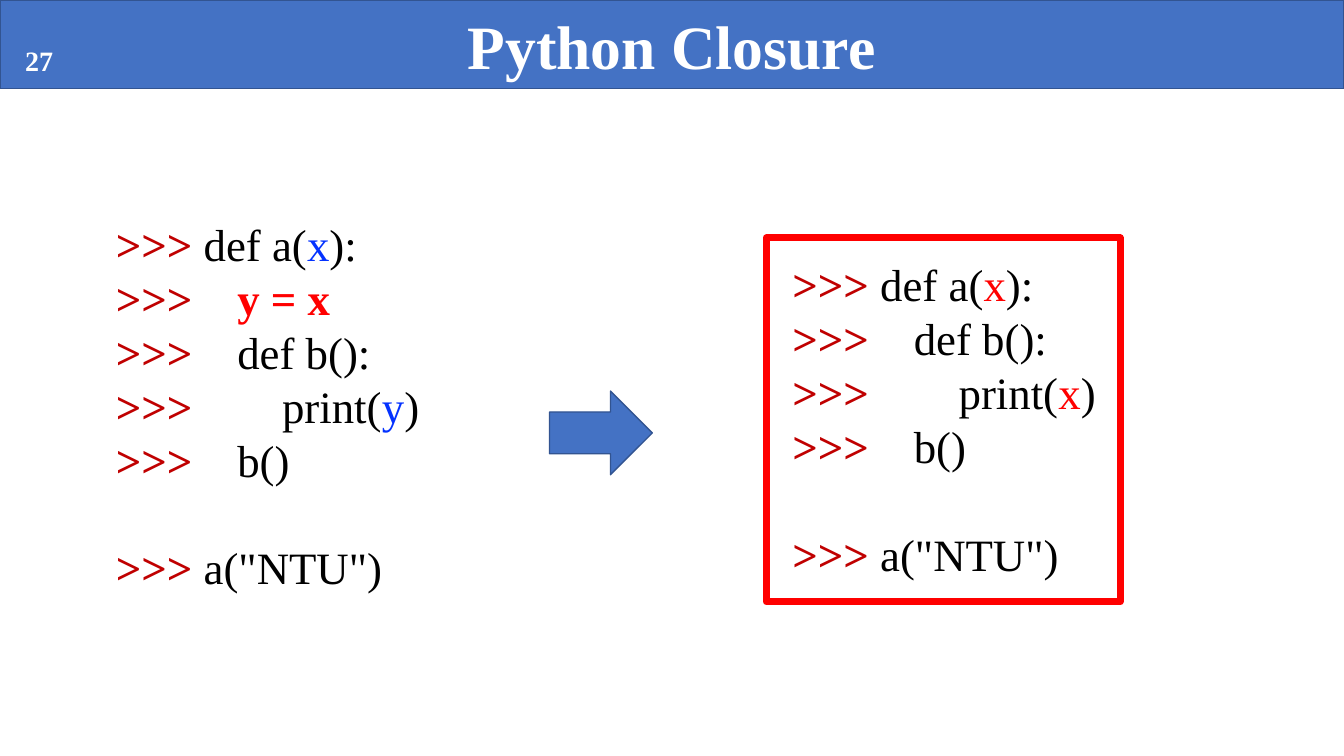
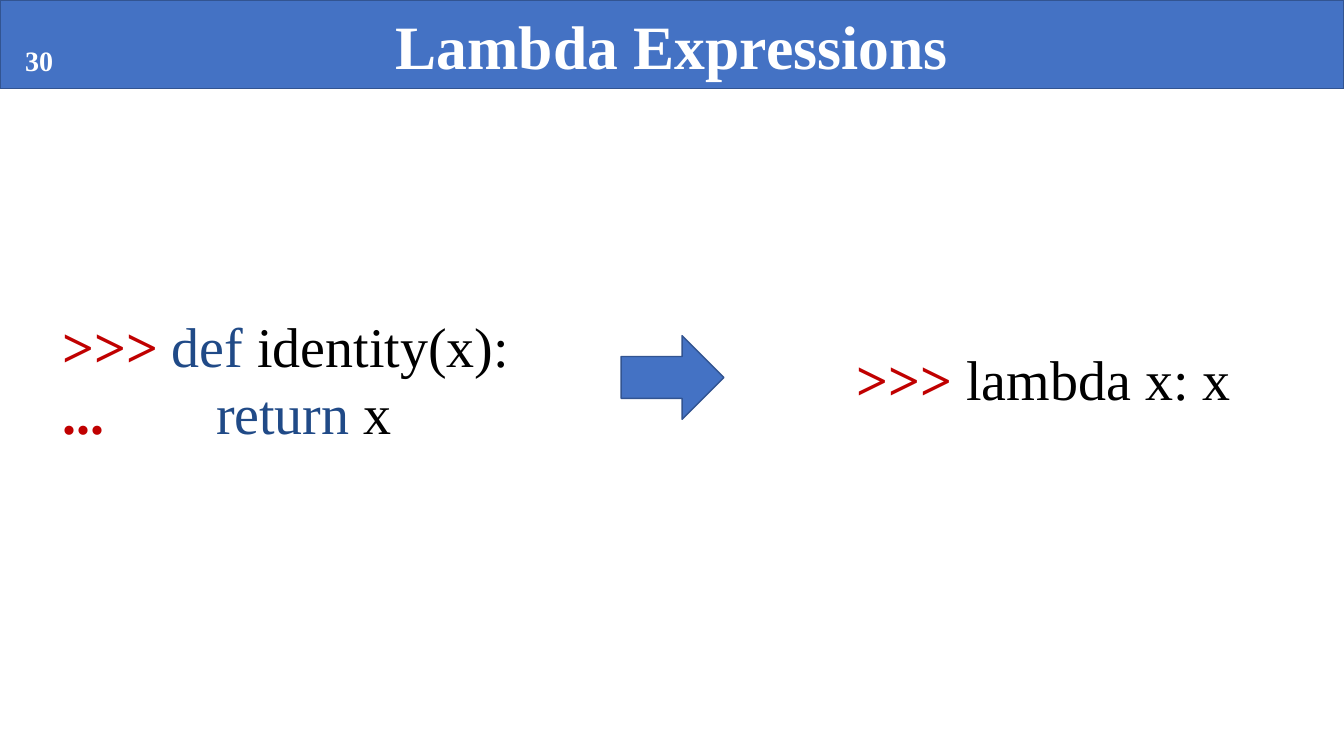
from pptx import Presentation
from pptx.dml.color import RGBColor
from pptx.enum.shapes import MSO_SHAPE
from pptx.enum.text import MSO_ANCHOR, PP_ALIGN
from pptx.util import Emu, Pt

PX = 9144
SLIDE_WIDTH, SLIDE_HEIGHT = 1333, 750
BAND_HEIGHT = 88
ARROW_WIDTH, ARROW_HEIGHT = 102, 83
FONT = "Times New Roman"

WHITE = RGBColor(0xFF, 0xFF, 0xFF)
BLACK = RGBColor(0x00, 0x00, 0x00)
BAND_BLUE = RGBColor(0x44, 0x72, 0xC4)
OUTLINE_BLUE = RGBColor(0x32, 0x54, 0x91)
PROMPT_RED = RGBColor(0xC0, 0x00, 0x00)
RED = RGBColor(0xFF, 0x00, 0x00)
BLUE = RGBColor(0x04, 0x32, 0xFF)
KEYWORD_BLUE = RGBColor(0x20, 0x4A, 0x87)


def px(*lengths):
    return [Emu(length * PX) for length in lengths]


def prompt(text=">>>"):
    return (text, PROMPT_RED, True)


def plain(text, color=BLACK):
    return (text, color, False)


def style(paragraph, size, color=None, bold=None):
    font = paragraph.font
    font.name = FONT
    font.size = Pt(size)
    if color is not None:
        font.color.rgb = color
    font.bold = bold


def add_shape(page, kind, area, fill=BAND_BLUE, line=OUTLINE_BLUE, line_width=1):
    shape = page.shapes.add_shape(kind, *px(*area))
    shape.shadow.inherit = False
    if fill is None:
        shape.fill.background()
    else:
        shape.fill.solid()
        shape.fill.fore_color.rgb = fill
    shape.line.color.rgb = line
    shape.line.width = Pt(line_width)
    return shape


def add_text_box(page, area):
    frame = page.shapes.add_textbox(*px(*area)).text_frame
    frame.word_wrap = True
    return frame


def add_page(deck, title, number):
    page = deck.slides.add_slide(deck.slide_layouts[6])
    band = add_shape(page, MSO_SHAPE.RECTANGLE, (0, 0, SLIDE_WIDTH, BAND_HEIGHT))
    band.text_frame.vertical_anchor = MSO_ANCHOR.MIDDLE
    para = band.text_frame.paragraphs[0]
    para.text = title
    para.alignment = PP_ALIGN.CENTER
    style(para, 44, WHITE, True)
    para = add_text_box(page, (15, 38, 60, 44)).paragraphs[0]
    para.text = number
    style(para, 20, WHITE, True)
    return page


def add_code(page, area, size, pitch, blocks):
    frame = add_text_box(page, area)
    para = frame.paragraphs[0]
    for block_index, block in enumerate(blocks):
        for line_index, line in enumerate(block):
            if block_index or line_index:
                para = frame.add_paragraph()
            para.line_spacing = Pt(pitch)
            if block_index and not line_index:
                para.space_before = Pt(pitch)
            style(para, size)
            for text, color, bold in line:
                span = para.add_run()
                span.text = text
                span.font.color.rgb = color
                span.font.bold = bold


def add_arrow(page, left, top):
    add_shape(page, MSO_SHAPE.RIGHT_ARROW, (left, top, ARROW_WIDTH, ARROW_HEIGHT))


def closure_code(variable, color, assignment=()):
    define_a = [prompt(), plain(" def a("), plain("x", color), plain("):")]
    define_b = [prompt(), plain("    def b():")]
    show = [prompt(), plain("        print("), plain(variable, color), plain(")")]
    call_b = [prompt(), plain("    b()")]
    call_a = [prompt(), plain(' a("NTU")')]
    return [[define_a, *assignment, define_b, show, call_b], [call_a]]


def add_closure_page(deck):
    page = add_page(deck, "Python Closure", "27")
    assignment = [prompt(), ("    y = x", RED, True)]
    add_code(page, (105, 210, 393, 387), 32, 38.5, closure_code("y", BLUE, [assignment]))
    add_code(page, (776, 250, 393, 333), 32, 38.5, closure_code("x", RED))
    add_shape(page, MSO_SHAPE.RECTANGLE, (760, 236, 351, 361), None, RED, 5)
    add_arrow(page, 545, 388)


def add_lambda_page(deck):
    page = add_page(deck, "Lambda Expressions", "30")
    identity = [
        [prompt(), plain(" def", KEYWORD_BLUE), plain(" identity(x):")],
        [prompt("..."), plain("        return", KEYWORD_BLUE), plain(" x")],
    ]
    add_code(page, (52, 303, 482, 145), 40, 48.5, [identity])
    add_code(page, (840, 336, 395, 77), 40, 48.5, [[[prompt(), plain(" lambda x: x")]]])
    add_arrow(page, 616, 333)


def main():
    deck = Presentation()
    deck.slide_width, deck.slide_height = px(SLIDE_WIDTH, SLIDE_HEIGHT)
    add_closure_page(deck)
    add_lambda_page(deck)
    deck.save("out.pptx")


if __name__ == "__main__":
    main()
